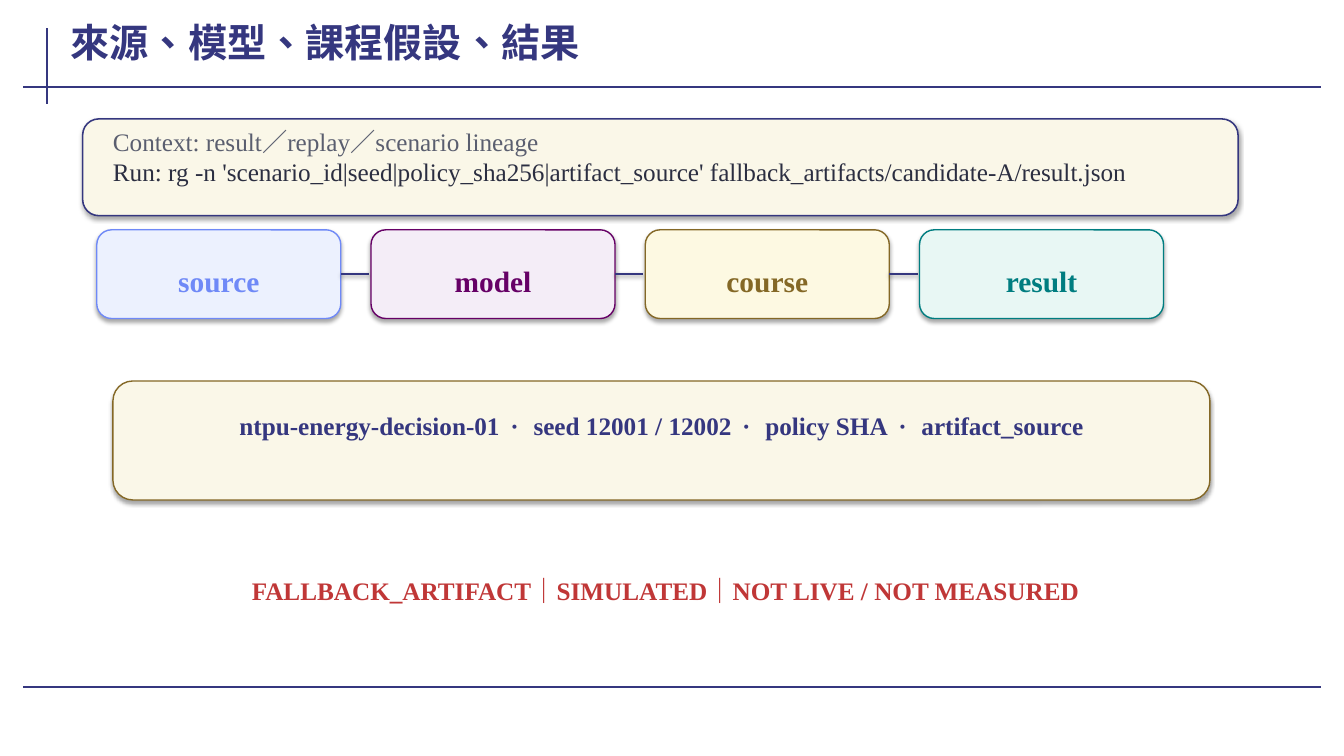
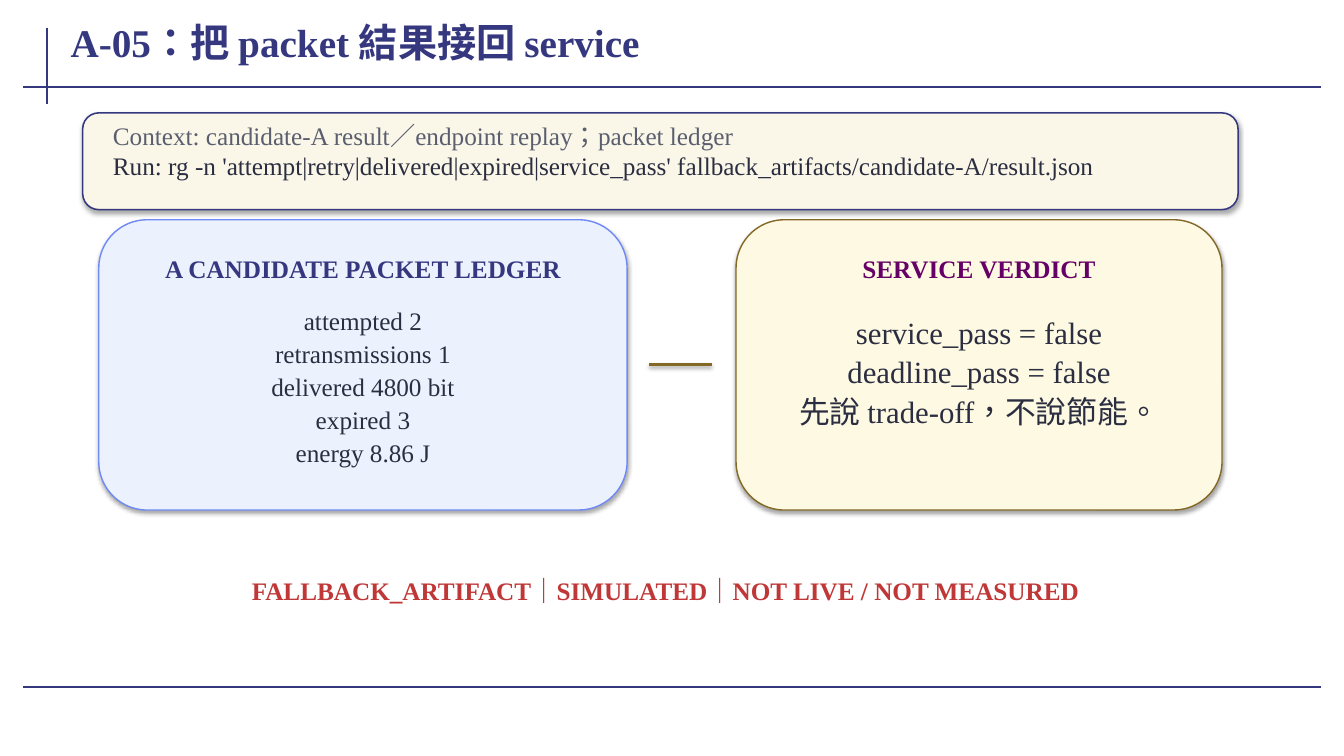
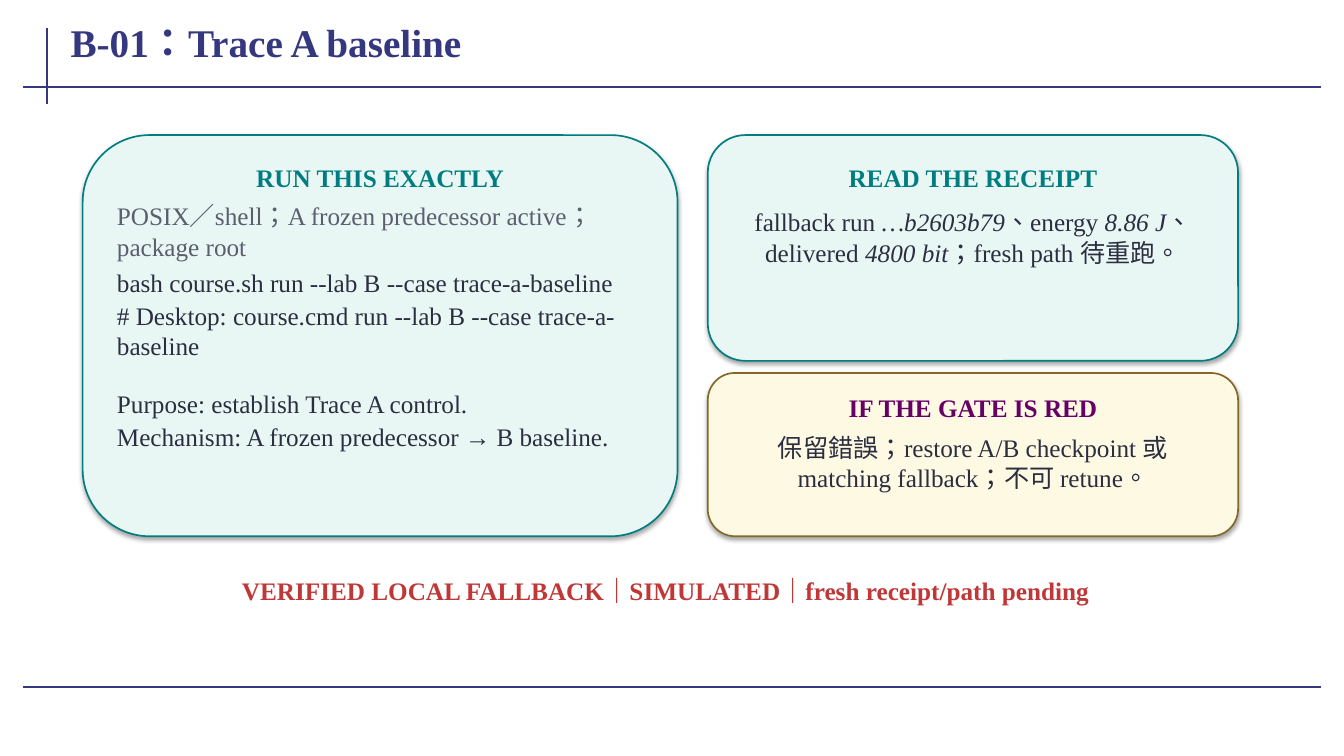
from dataclasses import dataclass

from lxml.etree import SubElement
from pptx import Presentation
from pptx.dml.color import RGBColor as Rgb
from pptx.enum.shapes import MSO_CONNECTOR as Conn, MSO_SHAPE as Form
from pptx.enum.text import MSO_ANCHOR as Anchor, MSO_AUTO_SIZE as Auto, PP_ALIGN as Align
from pptx.oxml.ns import qn
from pptx.util import Inches, Pt


@dataclass(frozen=True)
class Theme:
    font: str = "Times New Roman"
    navy: str = "35377F"
    ink: str = "2B2E41"
    gray: str = "5A5E6F"
    red: str = "C03737"
    blue: str = "6F89F7"
    plum: str = "660066"
    gold: str = "846826"
    teal: str = "007D80"
    cream: str = "FAF7E8"
    sky: str = "ECF1FE"
    lilac: str = "F4EDF7"
    lemon: str = "FDF9E2"
    mint: str = "E8F7F4"
    title: int = 28
    large: int = 22
    node: int = 21
    body: int = 18


T = Theme()


class Deck:
    def __init__(self):
        self.prs = Presentation()
        self.prs.slide_width = Inches(13.33)
        self.prs.slide_height = Inches(7.5)
        self.slide = None

    def start(self, title, foot):
        self.slide = self.prs.slides.add_slide(self.prs.slide_layouts[6])
        self.line(0.47, 0.28, 0.47, 1.03)
        for y in (0.86, 6.82):
            self.line(0.23, y, 13.1, y)
        head = self.text(0.62, 0.1, 12.49, 0.62, [title], T.navy, T.title, bold=True)
        head.text_frame.auto_size = Auto.NONE
        head.text_frame.vertical_anchor = Anchor.MIDDLE
        self.text(0.92, 5.68, 11.36, 0.3, [foot], T.red, bold=True, mid=True)

    def shade(self, shape, dist=0, alpha=0):
        fx = SubElement(shape.element.spPr, qn("a:effectLst"))
        if dist:
            drop = SubElement(fx, qn("a:outerShdw"), blurRad=str(Pt(3.1)),
                              dist=str(Pt(dist)), dir="5400000", rotWithShape="0")
            tint = SubElement(drop, qn("a:srgbClr"), val="000000")
            SubElement(tint, qn("a:alpha"), val=str(alpha * 1000))

    def line(self, x1, y1, x2, y2, color=T.navy, width=1.5, dist=0):
        link = self.slide.shapes.add_connector(
            Conn.STRAIGHT, Inches(x1), Inches(y1), Inches(x2), Inches(y2))
        link.line.color.rgb = Rgb.from_string(color)
        link.line.width = Pt(width)
        self.shade(link, dist, 38)

    def box(self, x, y, w, h, fill, edge, width=1.0):
        card = self.slide.shapes.add_shape(
            Form.ROUNDED_RECTANGLE, Inches(x), Inches(y), Inches(w), Inches(h))
        card.fill.solid()
        card.fill.fore_color.rgb = Rgb.from_string(fill)
        card.line.color.rgb = Rgb.from_string(edge)
        card.line.width = Pt(width)
        self.shade(card, 1.8, 35)

    def text(self, x, y, w, h, paras, color=T.ink, size=T.body, bold=False, mid=False):
        area = self.slide.shapes.add_textbox(Inches(x), Inches(y), Inches(w), Inches(h))
        frame = area.text_frame
        frame.word_wrap = True
        frame.auto_size = Auto.SHAPE_TO_FIT_TEXT
        frame.margin_left = frame.margin_right = Inches(0.08)
        frame.margin_top, frame.margin_bottom = Inches(0.03), Inches(0.02)
        for n, runs in enumerate(paras):
            para = frame.add_paragraph() if n else frame.paragraphs[0]
            para.alignment = Align.CENTER if mid else Align.LEFT
            para.space_after = Pt(2)
            for part in [(runs, "")] if isinstance(runs, str) else runs:
                self.run(para, *part, color, size, bold)
        return area

    def run(self, para, words, mode, color, size, bold):
        run = para.add_run()
        run.text = words
        font = run.font
        font.name, font.size, font.bold = T.font, Pt(size), bold
        font.italic = mode == "slant"
        font.color.rgb = Rgb.from_string(color)
        props = run._r.get_or_add_rPr()
        props.set("lang", "zh-TW")
        if mode == "wide":
            props.set("spc", "300")

    def band(self, y, context, command):
        self.box(0.82, y, 11.46, 0.96, T.cream, T.navy, 1.1)
        self.text(1.04, y + 0.04, 10.98, 0.26, [context], T.gray)
        self.text(1.04, y + 0.34, 10.98, 0.58, [command])

    def panel(self, x, y, w, h, fill, edge, head, tone, drop, width=1.2):
        self.box(x, y, w, h, fill, edge, width)
        self.text(x + 0.26, y + drop, w - 0.52, 0.26, [head], tone, bold=True, mid=True)


def lineage(deck, foot):
    deck.start("來源、模型、課程假設、結果", foot)
    deck.band(1.18, "Context: result／replay／scenario lineage",
              "Run: rg -n 'scenario_id|seed|policy_sha256|artifact_source' "
              "fallback_artifacts/candidate-A/result.json")
    nodes = [("source", T.sky, T.blue), ("model", T.lilac, T.plum),
             ("course", T.lemon, T.gold), ("result", T.mint, T.teal)]
    wide, step = 2.42, 2.72
    for n, (name, fill, tone) in enumerate(nodes):
        x = 0.96 + n * step
        if n:
            deck.line(x - 0.3, 2.72, x - 0.02, 2.72, dist=1.6)
        deck.box(x, 2.28, wide, 0.88, fill, tone)
        deck.text(x + 0.12, 2.58, wide - 0.24, 0.24, [name], tone, T.node, True, True)
    deck.box(1.12, 3.78, 10.88, 1.18, T.cream, T.gold)
    dot = (" · ", "wide")
    keys = [("ntpu-energy-decision-01", ""), dot, ("seed 12001 / 12002", ""), dot,
            ("policy SHA", ""), dot, ("artifact_source", "")]
    deck.text(1.34, 4.04, 10.44, 0.7, [keys], T.navy, bold=True, mid=True)


def ledger(deck, foot):
    deck.start("A-05：把 packet 結果接回 service", foot)
    deck.band(1.12, "Context: candidate-A result／endpoint replay；packet ledger",
              "Run: rg -n 'attempt|retry|delivered|expired|service_pass' "
              "fallback_artifacts/candidate-A/result.json")
    deck.panel(0.98, 2.18, 5.24, 2.88, T.sky, T.blue,
               "A CANDIDATE PACKET LEDGER", T.navy, 0.3, 1)
    deck.text(1.26, 3, 4.68, 1.58,
              ["attempted 2", "retransmissions 1", "delivered 4800 bit",
               "expired 3", "energy 8.86 J"], mid=True)
    deck.line(6.44, 3.62, 7.06, 3.62, T.gold, 2, 1.6)
    deck.panel(7.3, 2.18, 4.82, 2.88, T.lemon, T.gold,
               "SERVICE VERDICT", T.plum, 0.3, 1)
    deck.text(7.6, 3.08, 4.22, 1.14,
              ["service_pass = false", "deadline_pass = false",
               "先說 trade-off，不說節能。"], size=T.large, mid=True)


def trace(deck, foot):
    deck.start("B-01：Trace A baseline", foot)
    deck.panel(0.82, 1.34, 5.9, 3.98, T.mint, T.teal, "RUN THIS EXACTLY", T.teal, 0.24)
    deck.text(1.08, 1.96, 5.38, 0.58,
              ["POSIX／shell；A frozen predecessor active；package root"], T.gray)
    deck.text(1.08, 2.62, 5.38, 1.1,
              ["bash course.sh run --lab B --case trace-a-baseline",
               "# Desktop: course.cmd run --lab B --case trace-a-baseline"])
    deck.text(1.08, 3.82, 5.38, 1.3,
              ["Purpose: establish Trace A control.",
               "Mechanism: A frozen predecessor → B baseline."])
    deck.panel(7.02, 1.34, 5.26, 2.24, T.mint, T.teal, "READ THE RECEIPT", T.teal, 0.24)
    facts = [("fallback run ", ""), ("…b2603b79", "slant"), ("、energy ", ""),
             ("8.86 J", "slant"), ("、delivered ", ""), ("4800 bit", "slant"),
             ("；fresh path 待重跑。", "")]
    deck.text(7.28, 2.02, 4.74, 1.42, [facts], mid=True)
    deck.panel(7.02, 3.7, 5.26, 1.62, T.lemon, T.gold, "IF THE GATE IS RED", T.plum, 0.16)
    deck.text(7.28, 4.26, 4.74, 0.94,
              ["保留錯誤；restore A/B checkpoint 或 matching fallback；不可 retune。"], mid=True)


def main():
    deck = Deck()
    foot = "FALLBACK_ARTIFACT｜SIMULATED｜NOT LIVE / NOT MEASURED"
    lineage(deck, foot)
    ledger(deck, foot)
    trace(deck, "VERIFIED LOCAL FALLBACK｜SIMULATED｜fresh receipt/path pending")
    deck.prs.save("out.pptx")


if __name__ == "__main__":
    main()
